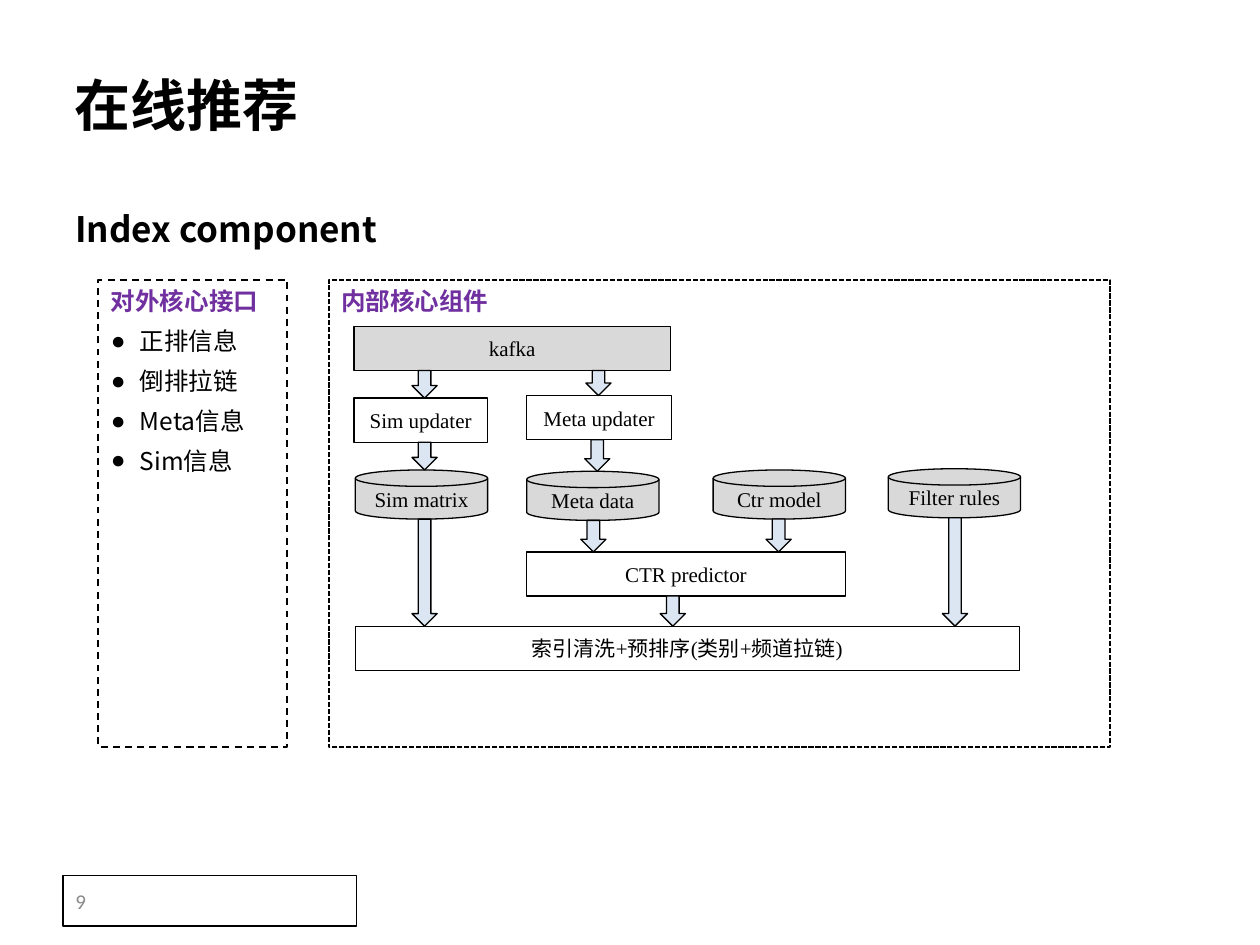
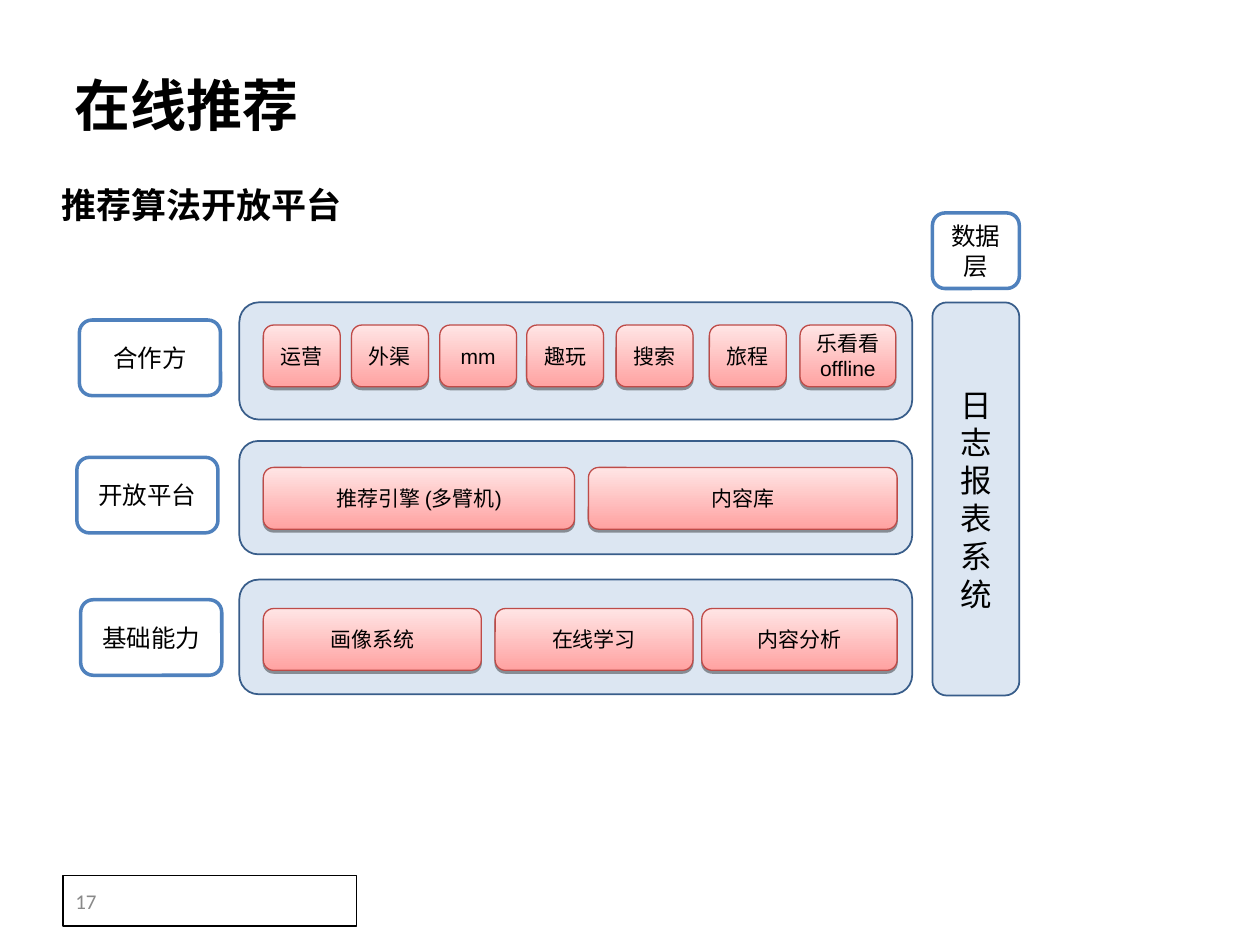
import pptx
import pptx.dml.color
import pptx.enum.dml
import pptx.enum.shapes
import pptx.enum.text
import pptx.oxml
import pptx.oxml.ns
import pptx.util
from lxml import etree

Inches, Pt = pptx.util.Inches, pptx.util.Pt
SHAPE = pptx.enum.shapes.MSO_SHAPE
ALIGN = pptx.enum.text.PP_ALIGN
ANCHOR = pptx.enum.text.MSO_ANCHOR
DASH = pptx.enum.dml.MSO_LINE
qn = pptx.oxml.ns.qn

CJK = "Noto Sans CJK SC"
SERIF, SANS, PLAIN = "Times New Roman", "Arial", "Calibri"
BLACK, WHITE, GREY, PALE_BLUE = "000000", "FFFFFF", "D9D9D9", "DCE6F2"
PURPLE, BLUE, NAVY, RED = "7030A0", "4F81BD", "385D8A", "BE4B48"
PAGE_GREY, CELL_BOTTOM, CELL_TOP = "898989", "FFA2A1", "FFE5E5"

TITLE = "在线推荐"

# Index component
INTERFACE_HEADING = "对外核心接口"
INTERFACES = ["正排信息", "倒排拉链", "Meta信息", "Sim信息"]
INTERNALS_HEADING = "内部核心组件"
BOX_HEIGHT, STORE_HEIGHT, ARROW_WIDTH = 0.35, 0.39, 0.2
QUEUE = "kafka"
INDEX_STEP = "索引清洗+预排序(类别+频道拉链)"
# text: (left, top, width)
STEPS = {
    QUEUE: (2.81, 2.59, 2.51),
    "Sim updater": (2.81, 3.16, 1.06),
    "Meta updater": (4.18, 3.14, 1.15),
    "CTR predictor": (4.18, 4.38, 2.53),
    INDEX_STEP: (2.82, 4.97, 5.27),
}
STORES = {
    "Sim matrix": (2.82, 3.73, 1.05),
    "Meta data": (4.18, 3.74, 1.05),
    "Ctr model": (5.66, 3.73, 1.05),
    "Filter rules": (7.05, 3.72, 1.05),
}
# (from, to, centre of the arrow)
FLOWS = [
    (QUEUE, "Sim updater", 3.37),
    (QUEUE, "Meta updater", 4.75),
    ("Sim updater", "Sim matrix", 3.37),
    ("Meta updater", "Meta data", 4.74),
    ("Sim matrix", INDEX_STEP, 3.37),
    ("Meta data", "CTR predictor", 4.71),
    ("Ctr model", "CTR predictor", 6.18),
    ("CTR predictor", INDEX_STEP, 5.34),
    ("Filter rules", INDEX_STEP, 7.58),
]

# Open platform
BAND_LEFT, BAND_WIDTH = 1.9, 5.34
LABEL_WIDTH, LABEL_HEIGHT, CELL_HEIGHT = 1.12, 0.6, 0.49
LOG_LEFT, LOG_WIDTH = 7.4, 0.69
LAYERS = [
    {"label": "合作方", "label_at": (0.63, 2.54), "band": (2.4, 0.93), "cell_top": 2.58,
     "cells": [("运营", 2.09, 0.61), ("外渠", 2.79, 0.61), ("mm", 3.49, 0.61),
               ("趣玩", 4.18, 0.61), ("搜索", 4.89, 0.61), ("旅程", 5.63, 0.61),
               ("乐看看offline", 6.35, 0.76)]},
    {"label": "开放平台", "label_at": (0.61, 3.63), "band": (3.5, 0.9), "cell_top": 3.71,
     "cells": [("推荐引擎 (多臂机)", 2.09, 2.47), ("内容库", 4.67, 2.45)]},
    {"label": "基础能力", "label_at": (0.64, 4.76), "band": (4.6, 0.91), "cell_top": 4.83,
     "cells": [("画像系统", 2.09, 1.73), ("在线学习", 3.93, 1.57), ("内容分析", 5.57, 1.55)]},
]


def rgb(color):
    return pptx.dml.color.RGBColor.from_string(color)


def style(paragraph, size, font, color=BLACK, bold=False, align=ALIGN.LEFT):
    paragraph.alignment = align
    paragraph.font.size = Pt(size)
    paragraph.font.bold = bold
    paragraph.font.color.rgb = rgb(color)
    paragraph.font.name = font
    defaults = paragraph._p.pPr.find(qn("a:defRPr"))
    etree.SubElement(defaults, qn("a:ea"), typeface=CJK)


def place(shape, left, top, width, height):
    shape.left, shape.top = Inches(left), Inches(top)
    shape.width, shape.height = Inches(width), Inches(height)


def paint(shape, fill, line, weight, dash=None):
    shape.fill.solid()
    shape.fill.fore_color.rgb = rgb(fill)
    shape.line.color.rgb = rgb(line)
    shape.line.width = Pt(weight)
    if dash:
        shape.line.dash_style = dash


def add_block(slide, kind, at, fill=WHITE, line=BLACK, weight=0.75, dash=None):
    block = slide.shapes.add_shape(kind, *map(Inches, at))
    block.shadow.inherit = False
    paint(block, fill, line, weight, dash)
    return block


def write(shape, text, size, font, color=BLACK, bold=False,
          align=ALIGN.CENTER, anchor=ANCHOR.MIDDLE):
    frame = shape.text_frame
    frame.word_wrap = True
    frame.vertical_anchor = anchor
    frame.text = text
    style(frame.paragraphs[0], size, font, color, bold, align)


def add_slide(deck, layout, page, subtitle, subtitle_at):
    """Add a slide with the shared title, a subtitle and a page number box."""
    slide = deck.slides.add_slide(deck.slide_layouts[layout])
    title = slide.shapes.title
    place(title, 0.49, 0.51, 2.4, 0.64)
    write(title, TITLE, 32, CJK, bold=True, align=ALIGN.LEFT, anchor=ANCHOR.TOP)
    title.text_frame.auto_size = pptx.enum.text.MSO_AUTO_SIZE.NONE

    number = add_block(slide, SHAPE.RECTANGLE, (0.5, 6.95, 2.33, 0.4))
    write(number, page, 12, PLAIN, PAGE_GREY, align=ALIGN.LEFT)

    heading = slide.shapes.add_textbox(*map(Inches, subtitle_at))
    write(heading, subtitle, 20, CJK, bold=True, align=ALIGN.LEFT, anchor=ANCHOR.TOP)
    heading.text_frame.paragraphs[0].line_spacing = 1.5
    return slide


def set_bullet(paragraph, char=None, indent=0):
    properties = paragraph._p.get_or_add_pPr()
    properties.set("marL", str(Inches(indent)))
    properties.set("indent", str(-Inches(indent)))
    if char:
        etree.SubElement(properties, qn("a:buChar"), char=char)
    else:
        etree.SubElement(properties, qn("a:buNone"))


def fill_interfaces(panel):
    place(panel, 0.78, 2.22, 1.5, 3.71)
    paint(panel, WHITE, BLACK, 1, DASH.DASH)
    frame = panel.text_frame
    frame.auto_size = pptx.enum.text.MSO_AUTO_SIZE.NONE
    frame.text = "\n".join([INTERFACE_HEADING] + INTERFACES)
    for index, paragraph in enumerate(frame.paragraphs):
        paragraph.space_before, paragraph.space_after = Pt(0), Pt(6)
        if index:
            set_bullet(paragraph, "●", 0.23)
            style(paragraph, 14, CJK)
        else:
            set_bullet(paragraph)
            style(paragraph, 14, CJK, PURPLE, bold=True)


def build_index_component(deck):
    slide = add_slide(deck, 1, "9", "Index component", (0.5, 1.43, 2.7, 0.6))
    fill_interfaces(slide.placeholders[1])
    internals = add_block(slide, SHAPE.RECTANGLE, (2.61, 2.22, 6.2, 3.71),
                          weight=1, dash=DASH.SQUARE_DOT)
    write(internals, INTERNALS_HEADING, 14, CJK, PURPLE, True, ALIGN.LEFT, ANCHOR.TOP)

    edges = {}
    for nodes, kind, height in ((STEPS, SHAPE.RECTANGLE, BOX_HEIGHT),
                                (STORES, SHAPE.FLOWCHART_MAGNETIC_DISK, STORE_HEIGHT)):
        for text, (left, top, width) in nodes.items():
            fill = GREY if nodes is STORES or text == QUEUE else WHITE
            node = add_block(slide, kind, (left, top, width, height), fill)
            write(node, text, 12, SERIF)
            edges[text] = (top, top + height)

    for source, target, centre in FLOWS:
        start, end = edges[source][1], edges[target][0]
        add_block(slide, SHAPE.DOWN_ARROW,
                  (centre - ARROW_WIDTH / 2, start, ARROW_WIDTH, end - start), PALE_BLUE)


def add_label(slide, text, at):
    label = add_block(slide, SHAPE.ROUNDED_RECTANGLE, at, line=BLUE, weight=2)
    write(label, text, 14, SANS)


def add_cell(slide, text, at):
    """Add a module with a red gradient and a hard shadow beneath it."""
    cell = add_block(slide, SHAPE.ROUNDED_RECTANGLE, at, line=RED)
    cell.fill.gradient()
    cell.fill.gradient_angle = 90
    for stop, color in zip(cell.fill.gradient_stops, (CELL_BOTTOM, CELL_TOP)):
        stop.color.rgb = rgb(color)
    effects = cell._element.spPr.find(qn("a:effectLst"))
    shadow = etree.SubElement(effects, qn("a:outerShdw"), blurRad="0",
                              dist=str(Pt(1.6)), dir="5400000", rotWithShape="0")
    tint = etree.SubElement(shadow, qn("a:srgbClr"), val=BLACK)
    etree.SubElement(tint, qn("a:alpha"), val="38000")
    write(cell, text, 12, SANS)


def build_open_platform(deck):
    slide = add_slide(deck, 5, "17", "推荐算法开放平台", (0.39, 1.24, 2.68, 0.6))
    for layer in LAYERS:
        add_label(slide, layer["label"], (*layer["label_at"], LABEL_WIDTH, LABEL_HEIGHT))
        top, height = layer["band"]
        add_block(slide, SHAPE.FLOWCHART_ALTERNATE_PROCESS,
                  (BAND_LEFT, top, BAND_WIDTH, height), PALE_BLUE, NAVY, 1)
        for text, left, width in layer["cells"]:
            add_cell(slide, text, (left, layer["cell_top"], width, CELL_HEIGHT))

    add_label(slide, "数据层", (LOG_LEFT, 1.69, LOG_WIDTH, LABEL_HEIGHT))
    logs = add_block(slide, SHAPE.FLOWCHART_ALTERNATE_PROCESS,
                     (LOG_LEFT, 2.4, LOG_WIDTH, 3.12), PALE_BLUE, NAVY, 1)
    write(logs, "日志 报表系统", 18, PLAIN)


def main():
    deck = pptx.Presentation()
    deck.slide_width, deck.slide_height = Inches(10), Inches(7.5)
    build_index_component(deck)
    build_open_platform(deck)
    deck.save("out.pptx")


if __name__ == "__main__":
    main()
